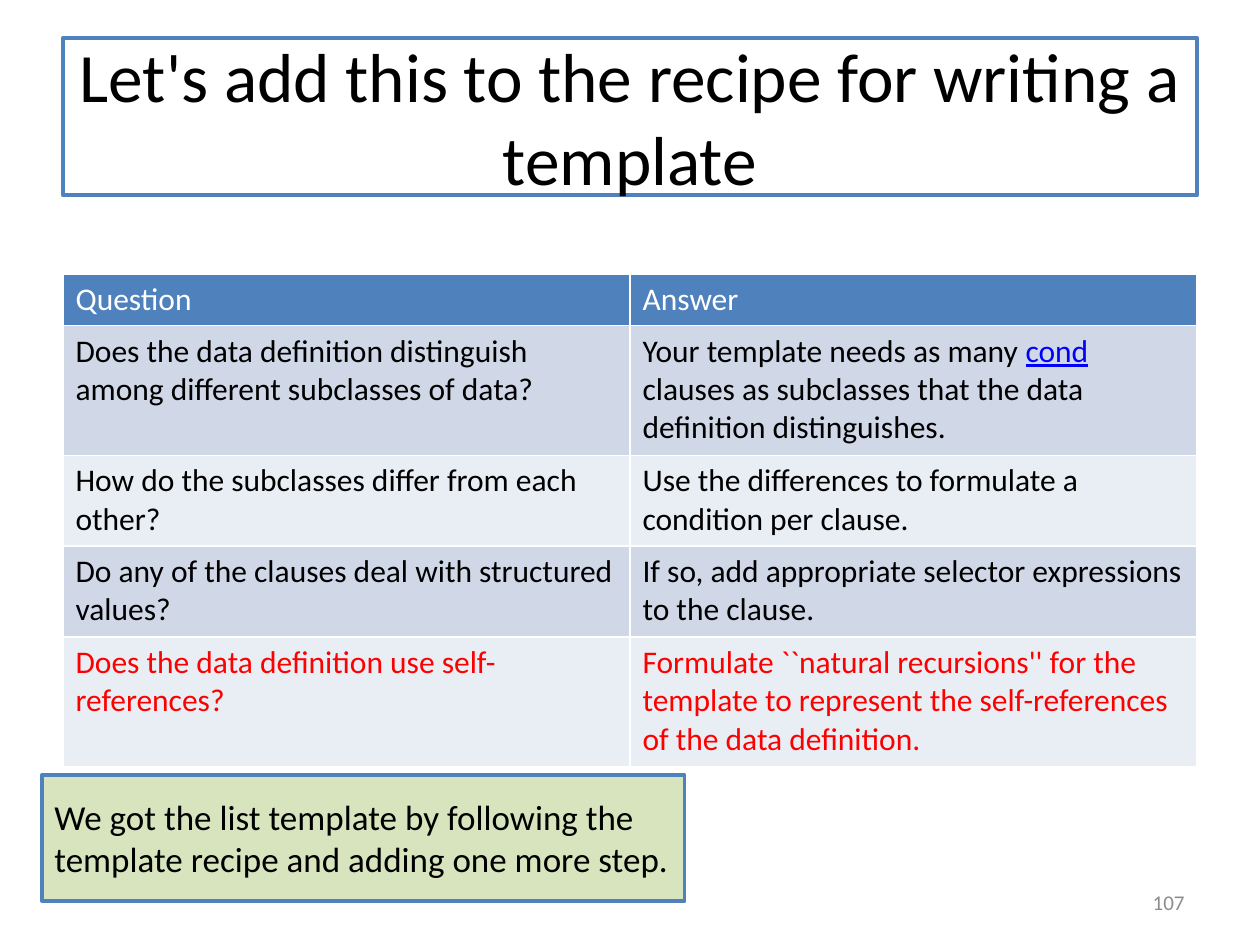
from typing import NamedTuple

from pptx import Presentation
from pptx.dml.color import RGBColor
from pptx.enum.shapes import MSO_SHAPE as Shape
from pptx.enum.text import MSO_ANCHOR as Anchor, MSO_AUTO_SIZE as Fit, PP_ALIGN as Align
from pptx.util import Inches, Pt

WIDE, HIGH = Inches(10), Inches(7.5)
EDGE = 0.05  # side margin, share of the slide's width
FONT = "Calibri"
LINE, PAD = 0.31, 0.1  # table line height and cell padding, inches

WHITE = RGBColor(0xFF, 0xFF, 0xFF)
BLACK = RGBColor(0, 0, 0)
BLUE = RGBColor(0x4F, 0x81, 0xBD)
LINK = RGBColor(0, 0, 0xFF)
RED = RGBColor(0xFF, 0, 0)
GRAY = RGBColor(0x8C, 0x8C, 0x8C)
GREEN = RGBColor(0xD7, 0xE4, 0xBD)
BANDS = RGBColor(0xD0, 0xD8, 0xE8), RGBColor(0xE9, 0xED, 0xF4)


class Box(NamedTuple):
    """A place given as shares of the slide's size."""
    left: float
    top: float
    width: float
    height: float

    def emu(self) -> tuple:
        return (round(self.left * WIDE), round(self.top * HIGH),
                round(self.width * WIDE), round(self.height * HIGH))


class Row(NamedTuple):
    ask: str
    reply: str
    lines: int
    color: RGBColor = BLACK


ROWS = [
    Row("Question", "Answer", 1, WHITE),
    Row("Does the data definition distinguish among different subclasses of data?",
        "Your template needs as many cond clauses as subclasses that the data "
        "definition distinguishes.", 3),
    Row("How do the subclasses differ from each other?",
        "Use the differences to formulate a condition per clause.", 2),
    Row("Do any of the clauses deal with structured values?",
        "If so, add appropriate selector expressions to the clause.", 2),
    Row("Does the data definition use self-references?",
        "Formulate ``natural recursions'' for the template to represent the "
        "self-references of the data definition.", 3, RED),
]


def write(frame, text: str, size: float = 18, color: RGBColor = BLACK,
          align=Align.LEFT, anchor=Anchor.MIDDLE, mark: str = "") -> None:
    """Fill a text frame; the word given as mark is underlined like a link."""
    frame.word_wrap = True
    frame.vertical_anchor = anchor
    para = frame.paragraphs[0]
    para.alignment = align
    head, word, tail = text.partition(mark) if mark else (text, "", "")
    for part in filter(None, (head, word, tail)):
        run = para.add_run()
        run.text = part
        font = run.font
        font.name, font.size, font.bold = FONT, Pt(size), False
        font.color.rgb = LINK if part == mark else color
        if part == mark:
            font.underline = True


def paint(shape, fill: RGBColor, width: float) -> None:
    shape.fill.solid()
    shape.fill.fore_color.rgb = fill
    shape.line.color.rgb = BLUE
    shape.line.width = Pt(width)


def add_title(slide, box: Box, text: str) -> None:
    title = slide.shapes.title
    title.left, title.top, title.width, title.height = box.emu()
    paint(title, WHITE, 2.25)
    title.text_frame.auto_size = Fit.NONE
    write(title.text_frame, text, size=39.6, align=Align.CENTER)


def add_grid(slide, left: float, top: float, width: float) -> None:
    tall = sum(PAD + LINE * row.lines for row in ROWS)
    box = Box(left, top, width, Inches(tall) / HIGH)
    table = slide.shapes.add_table(len(ROWS), 2, *box.emu()).table
    for i, row in enumerate(ROWS):
        table.rows[i].height = Inches(PAD + LINE * row.lines)
        for j, text in enumerate((row.ask, row.reply)):
            cell = table.cell(i, j)
            cell.fill.solid()
            cell.fill.fore_color.rgb = BANDS[(i - 1) % 2] if i else BLUE
            write(cell.text_frame, text, color=row.color, anchor=Anchor.TOP,
                  mark="cond" if "many cond" in text else "")
            cell.vertical_anchor = Anchor.TOP


def add_note(slide, box: Box, text: str) -> None:
    note = slide.shapes.add_shape(Shape.RECTANGLE, *box.emu())
    note.shadow.inherit = False
    paint(note, GREEN, 2)
    write(note.text_frame, text, size=20)


def add_number(slide, box: Box, text: str) -> None:
    label = slide.shapes.add_textbox(*box.emu())
    write(label.text_frame, text, size=12, color=GRAY, align=Align.RIGHT)


def main() -> None:
    deck = Presentation()
    deck.slide_width, deck.slide_height = WIDE, HIGH
    slide = deck.slides.add_slide(deck.slide_layouts[5])
    add_title(slide, Box(EDGE, 0.04, 1 - 2 * EDGE, 1 / 6),
              "Let's add this to the recipe for writing a template")
    add_grid(slide, EDGE, 0.29, 1 - 2 * EDGE)
    add_number(slide, Box(0.72, 0.93, 0.23, 0.05), "107")
    add_note(slide, Box(1 / 30, 0.82, 0.51, 2 / 15),
             "We got the list template by following the template recipe "
             "and adding one more step.")
    deck.save("out.pptx")


if __name__ == "__main__":
    main()
